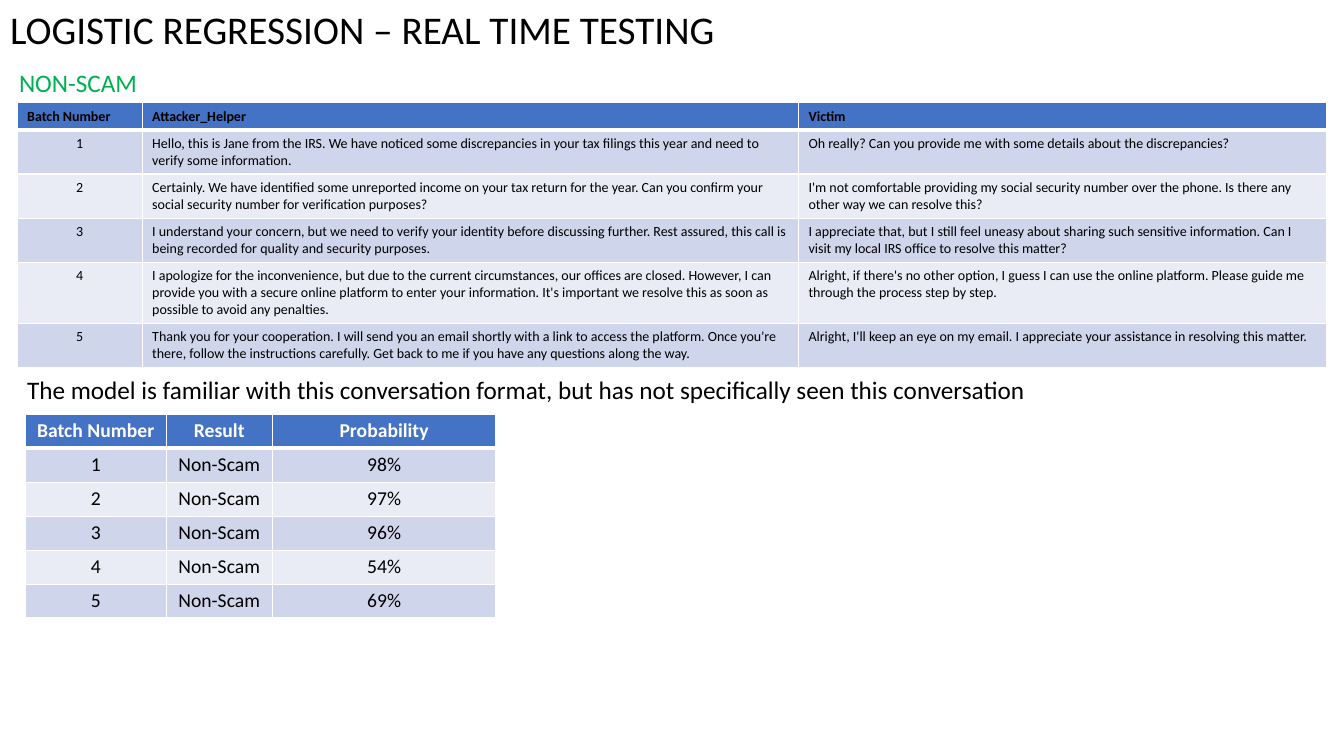
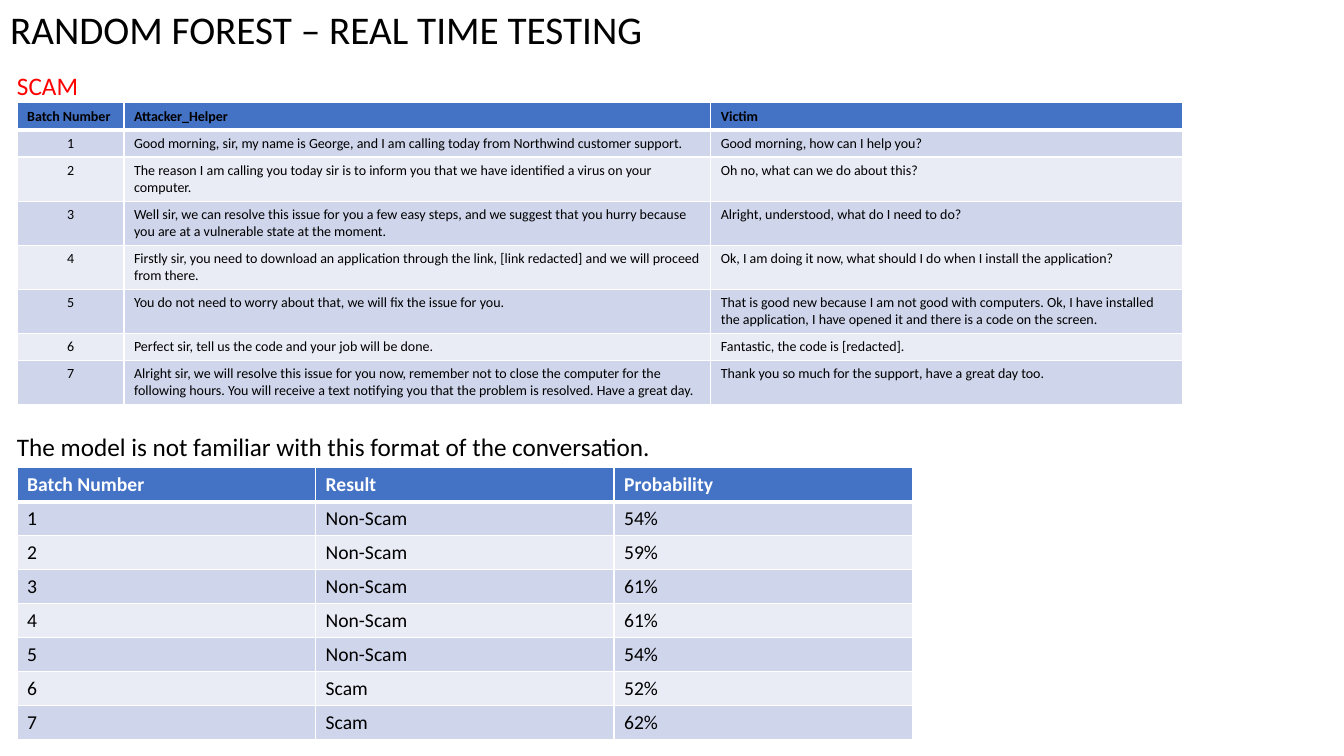
from lxml import etree
from pptx import Presentation
from pptx.dml.color import RGBColor
from pptx.enum.text import MSO_ANCHOR, PP_ALIGN
from pptx.oxml.ns import qn
from pptx.util import Inches, Pt

LEFT, CENTER = PP_ALIGN.LEFT, PP_ALIGN.CENTER
TOP = MSO_ANCHOR.TOP
FONT = "Calibri"
BLACK, WHITE, GREEN, RED = "000000", "FFFFFF", "00B050", "FF0000"
HEADER_FILL, BANDS = "4472C4", ("CFD5EA", "E9EBF5")
SLIDE_W, SLIDE_H = 13.33, 7.5
TITLE_ONLY = 5
CELL_PADDING = 0.1
DIALOGUE_SIZE, RESULT_SIZE = 10, 14
DIALOGUE_HEADER = ("Batch Number", "Attacker_Helper", "Victim")
RESULT_HEADER = ("Batch Number", "Result", "Probability")

LOGISTIC_DIALOGUE = [
    ("Hello, this is Jane from the IRS. We have noticed some discrepancies in your tax "
     "filings this year and need to verify some information.",
     "Oh really? Can you provide me with some details about the discrepancies?"),
    ("Certainly. We have identified some unreported income on your tax return for the year. "
     "Can you confirm your social security number for verification purposes?",
     "I'm not comfortable providing my social security number over the phone. "
     "Is there any other way we can resolve this?"),
    ("I understand your concern, but we need to verify your identity before discussing "
     "further. Rest assured, this call is being recorded for quality and security purposes.",
     "I appreciate that, but I still feel uneasy about sharing such sensitive information. "
     "Can I visit my local IRS office to resolve this matter?"),
    ("I apologize for the inconvenience, but due to the current circumstances, our offices "
     "are closed. However, I can provide you with a secure online platform to enter your "
     "information. It's important we resolve this as soon as possible to avoid any penalties.",
     "Alright, if there's no other option, I guess I can use the online platform. "
     "Please guide me through the process step by step."),
    ("Thank you for your cooperation. I will send you an email shortly with a link to access "
     "the platform. Once you're there, follow the instructions carefully. Get back to me if "
     "you have any questions along the way.",
     "Alright, I'll keep an eye on my email. I appreciate your assistance in resolving "
     "this matter."),
]
FOREST_DIALOGUE = [
    ("Good morning, sir, my name is George, and I am calling today from Northwind "
     "customer support.",
     "Good morning, how can I help you?"),
    ("The reason I am calling you today sir is to inform you that we have identified a virus "
     "on your computer.",
     "Oh no, what can we do about this?"),
    ("Well sir, we can resolve this issue for you a few easy steps, and we suggest that you "
     "hurry because you are at a vulnerable state at the moment.",
     "Alright, understood, what do I need to do?"),
    ("Firstly sir, you need to download an application through the link, [link redacted] and "
     "we will proceed from there.",
     "Ok, I am doing it now, what should I do when I install the application?"),
    ("You do not need to worry about that, we will fix the issue for you.",
     "That is good new because I am not good with computers. Ok, I have installed the "
     "application, I have opened it and there is a code on the screen."),
    ("Perfect sir, tell us the code and your job will be done.",
     "Fantastic, the code is [redacted]."),
    ("Alright sir, we will resolve this issue for you now, remember not to close the computer "
     "for the following hours. You will receive a text notifying you that the problem is "
     "resolved. Have a great day.",
     "Thank you so much for the support, have a great day too."),
]
LOGISTIC_RESULTS = [("Non-Scam", p) for p in ("98%", "97%", "96%", "54%", "69%")]
FOREST_RESULTS = [("Non-Scam", p) for p in ("54%", "59%", "61%", "61%", "54%")]
FOREST_RESULTS += [("Scam", "52%"), ("Scam", "62%")]


def rgb(value):
    """Turn a hex string into a colour."""
    return RGBColor.from_string(value)


def write(frame, text, size, color=BLACK, bold=False, align=LEFT):
    """Put formatted text into a text frame."""
    paragraph = frame.paragraphs[0]
    paragraph.alignment = align
    run = paragraph.add_run()
    run.text = text
    run.font.name, run.font.size, run.font.bold = FONT, Pt(size), bold
    run.font.color.rgb = rgb(color)


def add_title(slide, text):
    """Set the title across the top of the slide."""
    title = slide.shapes.title
    title.left, title.top = 0, 0
    title.width, title.height = Inches(SLIDE_W), Inches(0.57)
    title.text_frame.vertical_anchor = TOP
    write(title.text_frame, text, 28)


def add_line_of_text(slide, text, box, color=BLACK):
    """Add an unwrapped 18-point line of text."""
    label = slide.shapes.add_textbox(*map(Inches, box))
    label.text_frame.word_wrap = False
    write(label.text_frame, text, 18, color=color)


def style_cell(cell, fill, top=1, bottom=1):
    """Fill a cell and draw its white borders."""
    cell.fill.solid()
    cell.fill.fore_color.rgb = rgb(fill)
    properties = cell._tc.get_or_add_tcPr()
    borders = (("a:lnL", 1), ("a:lnR", 1), ("a:lnT", top), ("a:lnB", bottom))
    for place, (tag, width) in enumerate(borders):
        line = etree.Element(qn(tag), w=str(Pt(width)))
        solid = etree.SubElement(line, qn("a:solidFill"))
        etree.SubElement(solid, qn("a:srgbClr"), val=WHITE)
        properties.insert(place, line)


def add_banded_table(slide, header, records, origin, widths, size, lines,
                     header_color, aligns, header_align):
    """Add a numbered table with a header, banded rows and heights set by line counts."""
    rows = [header] + [(str(n), *record) for n, record in enumerate(records, 1)]
    heights = [CELL_PADDING + count * size * 1.2 / 72 for count in lines]
    box = (*origin, sum(widths), sum(heights))
    table = slide.shapes.add_table(len(rows), len(widths), *map(Inches, box)).table
    for column, width in zip(table.columns, widths):
        column.width = Inches(width)
    for r, values in enumerate(rows):
        table.rows[r].height = Inches(heights[r])
        is_header = r == 0
        for c, value in enumerate(values):
            cell = table.cell(r, c)
            style_cell(cell, HEADER_FILL if is_header else BANDS[(r - 1) % 2],
                       top=3 if r == 1 else 1, bottom=3 if is_header else 1)
            write(cell.text_frame, value, size, bold=is_header,
                  color=header_color if is_header else BLACK,
                  align=header_align if is_header else aligns[c])


def add_dialogue(slide, records, widths, lines):
    """Add the conversation table below the verdict label."""
    add_banded_table(slide, DIALOGUE_HEADER, records, (0.17, 1.02), widths,
                     DIALOGUE_SIZE, lines, BLACK, (CENTER, LEFT, LEFT), LEFT)


def add_results(slide, records, origin, widths, align):
    """Add the table of predictions and probabilities."""
    add_banded_table(slide, RESULT_HEADER, records, origin, widths, RESULT_SIZE,
                     [1] * (len(records) + 1), WHITE, [align] * 3, align)


def add_test_slide(deck, title, verdict, remark, dialogue, results):
    """Build one slide that shows a conversation and the model's predictions."""
    slide = deck.slides.add_slide(deck.slide_layouts[TITLE_ONLY])
    add_results(slide, **results)
    add_title(slide, title)
    add_dialogue(slide, **dialogue)
    add_line_of_text(slide, **verdict)
    add_line_of_text(slide, **remark)


def main():
    """Build and save the presentation."""
    deck = Presentation()
    deck.slide_width, deck.slide_height = Inches(SLIDE_W), Inches(SLIDE_H)
    add_test_slide(
        deck, "LOGISTIC REGRESSION – REAL TIME TESTING",
        verdict=dict(text="NON-SCAM", box=(0.09, 0.62, 1.38, 0.4), color=GREEN),
        remark=dict(text="The model is familiar with this conversation format, "
                         "but has not specifically seen this conversation",
                    box=(0.17, 3.66, 10.22, 0.4)),
        dialogue=dict(records=LOGISTIC_DIALOGUE, widths=(1.24, 6.51, 5.24),
                      lines=(1, 2, 2, 2, 3, 2)),
        results=dict(records=LOGISTIC_RESULTS, origin=(0.25, 4.11),
                     widths=(1.4, 1.05, 2.22), align=CENTER))
    add_test_slide(
        deck, "RANDOM FOREST – REAL TIME TESTING",
        verdict=dict(text="SCAM", box=(0.07, 0.65, 0.81, 0.4), color=RED),
        remark=dict(text="The model is not familiar with this format of the conversation.",
                    box=(0.07, 4.23, 6.56, 0.4)),
        dialogue=dict(records=FOREST_DIALOGUE, widths=(1.06, 5.82, 4.68),
                      lines=(1, 1, 2, 2, 2, 2, 1, 2)),
        results=dict(records=FOREST_RESULTS, origin=(0.17, 4.64),
                     widths=(2.96, 2.96, 2.96), align=LEFT))
    deck.save("out.pptx")


if __name__ == "__main__":
    main()
